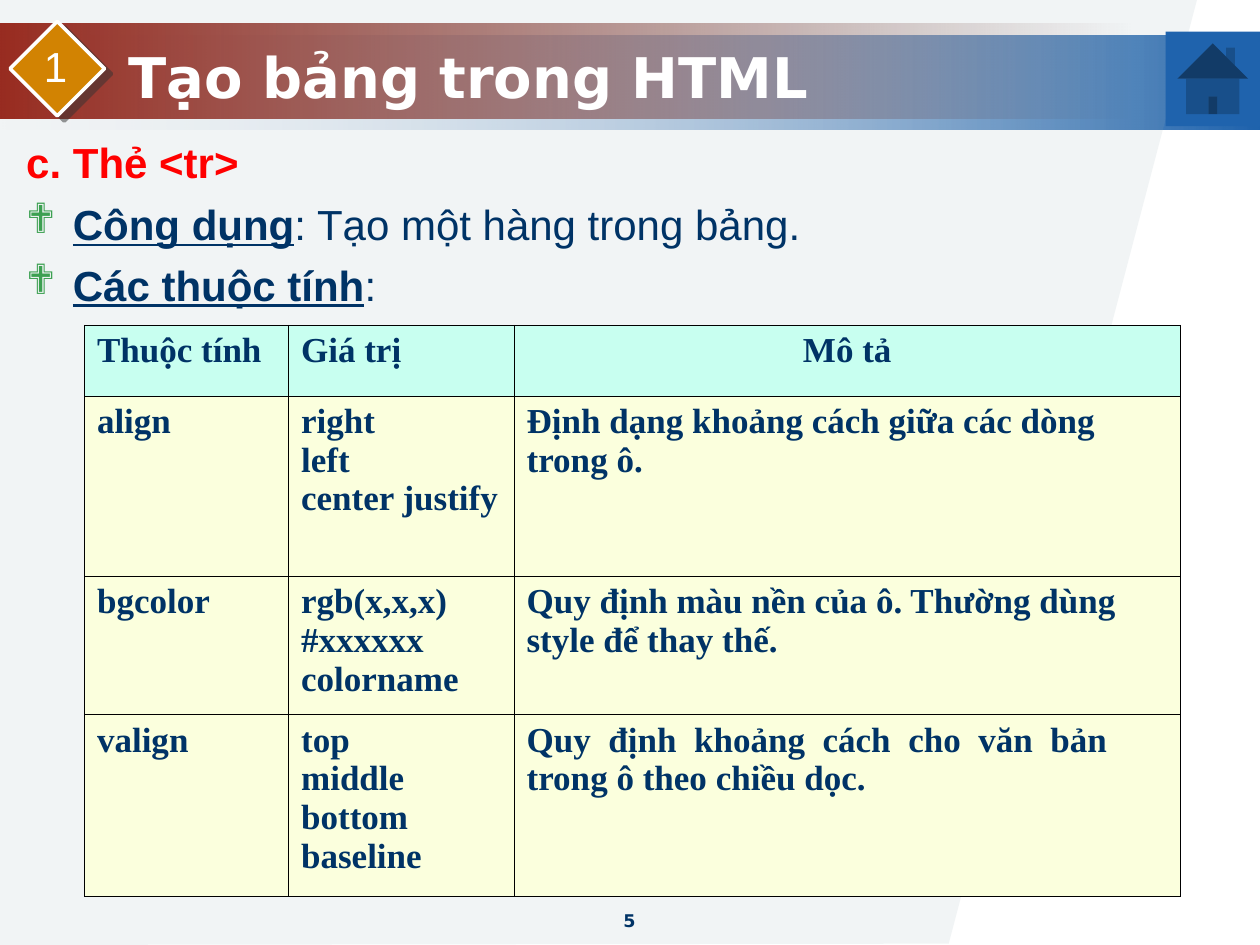
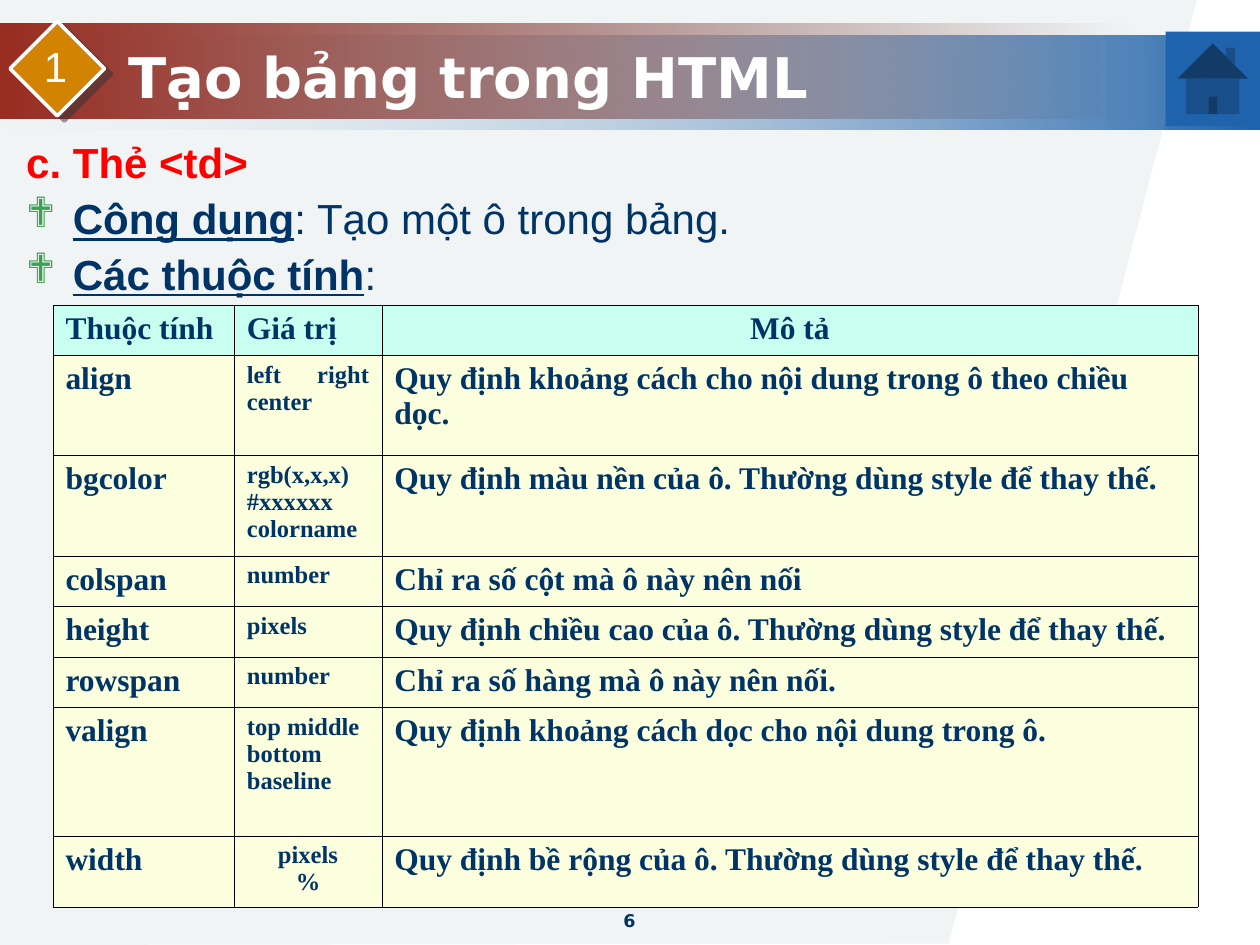
"""Build two lesson slides on the HTML tr and td tags with attribute tables."""
from dataclasses import dataclass

from lxml import etree
from pptx import Presentation
from pptx.dml.color import RGBColor as RGB
from pptx.enum.shapes import MSO_SHAPE as SHAPE
from pptx.enum.text import MSO_ANCHOR as ANCHOR, PP_ALIGN as ALIGN
from pptx.oxml.ns import qn
from pptx.util import Inches, Pt


@dataclass(frozen=True)
class Theme:
    navy: str = "003366"
    white: str = "FFFFFF"
    red: str = "FF0000"
    bullet: str = "3CA051"
    blue: str = "1F63AD"
    pale_blue: str = "E3EBF5"
    brick: str = "99190B"
    dark_brick: str = "470C05"
    backdrop: str = "97ADB5"
    badge: str = "D28302"
    shadow: str = "333333"
    border: str = "000000"
    header_row: str = "C8FFF0"
    body_row: str = "FBFFDD"
    heading_font: str = "DejaVu Sans"
    body_font: str = "Arial"
    table_font: str = "Times New Roman"
    title_size: int = 32
    body_size: int = 24
    page_size: int = 10
    border_width: float = 0.06


T = Theme()


def add_xml(parent, tag, **attrs):
    return etree.SubElement(parent, qn(tag), {k: str(v) for k, v in attrs.items()})


def add_run(p, text, size, font, color, **style):
    r = p.add_run()
    r.text = text
    r.font.color.rgb = RGB.from_string(color)
    for name, value in dict(size=Pt(size), name=font, **style).items():
        setattr(r.font, name, value)


HEADER = ("Thuộc tính", "Giá trị", "Mô tả")
STYLE_NOTE = "Thường dùng style để thay thế."
COLOR_VALUES = "rgb(x,x,x)\n#xxxxxx colorname"

LESSONS = [
    dict(
        page="5", tag="<tr>", purpose="Tạo một hàng trong bảng.", gap=6,
        at=(0.67, 2.58), cols=(1.62, 1.79, 5.29), heights=(0.56, 1.43, 1.1, 1.44),
        sizes=(20, 20, 20),
        rows=[
            HEADER,
            ("align", "right\nleft\ncenter justify",
             "Định dạng khoảng cách giữa các dòng trong ô."),
            ("bgcolor", COLOR_VALUES, f"Quy định màu nền của ô. {STYLE_NOTE}"),
            ("valign", "top\nmiddle\nbottom\nbaseline",
             "Quy định khoảng cách cho văn bản trong ô theo chiều dọc."),
        ],
        aligns={(0, 2): ALIGN.CENTER, (1, 1): ALIGN.JUSTIFY, (3, 2): ALIGN.JUSTIFY},
        right_margins={(3, 2): 0.58},
    ),
    dict(
        page="6", tag="<td>", purpose="Tạo một ô trong bảng.", gap=3,
        at=(0.42, 2.42), cols=(1.44, 1.17, 6.48),
        heights=(0.4, 0.79, 0.8, 0.4, 0.4, 0.4, 1.02, 0.57),
        sizes=(18, 14, 18),
        rows=[
            HEADER,
            ("align", "left right center",
             "Quy định khoảng cách cho nội dung trong ô theo chiều dọc."),
            ("bgcolor", COLOR_VALUES, f"Quy định màu nền của ô. {STYLE_NOTE}"),
            ("colspan", "number", "Chỉ ra số cột mà ô này nên nối"),
            ("height", "pixels", f"Quy định chiều cao của ô. {STYLE_NOTE}"),
            ("rowspan", "number", "Chỉ ra số hàng mà ô này nên nối."),
            ("valign", "top middle bottom baseline",
             "Quy định khoảng cách dọc cho nội dung trong ô."),
            ("width", "pixels\n%", f"Quy định bề rộng của ô. {STYLE_NOTE}"),
        ],
        aligns={(0, 2): ALIGN.CENTER, (1, 1): ALIGN.JUSTIFY, (7, 1): ALIGN.CENTER},
        right_margins={},
    ),
]

BANDS = [
    (0.28, 10, (T.pale_blue, T.blue), 0),
    (0.19, 9, (T.brick, T.dark_brick), 1),
]
BACKDROP = [(9.5, 0), (7.53, 7.49), (0, 7.5)]

prs = Presentation()
prs.slide_width, prs.slide_height = Inches(10), Inches(7.5)

for lesson in LESSONS:
    slide = prs.slides.add_slide(prs.slide_layouts[6])
    shapes = slide.shapes

    for top, width, colors, clear_stop in BANDS:
        s = shapes.add_shape(SHAPE.RECTANGLE, 0, Inches(top), Inches(width), Inches(0.75))
        s.shadow.inherit = False
        s.line.fill.background()
        s.fill.gradient()
        s.fill.gradient_angle = 0
        for stop, color, position in zip(s.fill.gradient_stops, colors, (0, 1)):
            stop.color.rgb = RGB.from_string(color)
            stop.position = position
        stop_colors = s._element.spPr.findall(".//" + qn("a:srgbClr"))
        add_xml(stop_colors[clear_stop], "a:alpha", val=0)

    outline = shapes.build_freeform(0, 0, scale=1.0)
    outline.add_line_segments([(Inches(x), Inches(y)) for x, y in BACKDROP], close=True)
    s = outline.convert_to_shape()
    s.shadow.inherit = False
    s.line.fill.background()
    s.fill.solid()
    s.fill.fore_color.rgb = RGB.from_string(T.backdrop)
    add_xml(s._element.spPr.find(".//" + qn("a:srgbClr")), "a:alpha", val=13000)

    s = shapes.add_shape(SHAPE.DIAMOND, *map(Inches, (0.08, 0.17, 0.75, 0.75)))
    s.fill.solid()
    s.fill.fore_color.rgb = RGB.from_string(T.badge)
    s.line.color.rgb = RGB.from_string(T.white)
    s.line.width = Pt(2)
    s.shadow.inherit = False
    drop = add_xml(s._element.spPr.find(qn("a:effectLst")), "a:outerShdw",
                   blurRad=0, dist=Pt(5), dir=37 * 60000, algn="ctr", rotWithShape=0)
    add_xml(add_xml(drop, "a:srgbClr", val=T.shadow), "a:alpha", val=50000)

    labels = [
        ((3.83, 7.17, 2.33, 0.28), lesson["page"], T.page_size, T.heading_font, T.navy,
         True, dict(word_wrap=True), ALIGN.CENTER),
        ((0.92, 0.29, 9.08, 0.62), "Tạo bảng trong HTML", T.title_size, T.heading_font,
         T.white, True, dict(word_wrap=True, vertical_anchor=ANCHOR.MIDDLE), ALIGN.LEFT),
        ((0.25, 0.27, 0.38, 0.5), "1", T.body_size, T.body_font, T.white,
         False, dict(word_wrap=False), ALIGN.CENTER),
    ]
    for box, text, size, font, color, bold, frame, align in labels:
        tf = shapes.add_textbox(*map(Inches, box)).text_frame
        for name, value in frame.items():
            setattr(tf, name, value)
        p = tf.paragraphs[0]
        p.alignment = align
        add_run(p, text, size, font, color, bold=bold)

    tf = shapes.add_textbox(*map(Inches, (0.11, 1.08, 9.89, 6.17))).text_frame
    tf.word_wrap = True
    p = tf.paragraphs[0]
    p.line_spacing = 0.9
    add_run(p, f"c. Thẻ {lesson['tag']}", T.body_size, T.body_font, T.red, bold=True)
    for term, rest in [("Công dụng", f": {lesson['purpose']}"), ("Các thuộc tính", ":")]:
        p = tf.add_paragraph()
        p.space_before = Pt(lesson["gap"])
        pPr = p._p.get_or_add_pPr()
        pPr.set("marL", str(Inches(0.37)))
        pPr.set("indent", str(Inches(-0.37)))
        add_xml(add_xml(pPr, "a:buClr"), "a:srgbClr", val=T.bullet)
        add_xml(pPr, "a:buFont", typeface="Wingdings")
        add_xml(pPr, "a:buChar", char="❖")
        add_run(p, term, T.body_size, T.body_font, T.navy, bold=True, underline=True)
        add_run(p, rest, T.body_size, T.body_font, T.navy, bold=False)

    s = shapes.add_shape(SHAPE.ACTION_BUTTON_HOME, *map(Inches, (9.25, 0.25, 0.75, 0.75)))
    s.shadow.inherit = False
    s.fill.solid()
    s.fill.fore_color.rgb = RGB.from_string(T.blue)
    s.line.fill.background()

    rows, cols, heights = lesson["rows"], lesson["cols"], lesson["heights"]
    box = (*lesson["at"], sum(cols), sum(heights))
    table = shapes.add_table(len(rows), len(cols), *map(Inches, box)).table
    for column, width in zip(table.columns, cols):
        column.width = Inches(width)
    for i, (row, height) in enumerate(zip(rows, heights)):
        table.rows[i].height = Inches(height)
        for j, text in enumerate(row):
            cell = table.cell(i, j)
            cell.margin_right = Inches(lesson["right_margins"].get((i, j), 0.1))
            tcPr = cell._tc.get_or_add_tcPr()
            for side in ("a:lnL", "a:lnR", "a:lnT", "a:lnB"):
                ln = add_xml(tcPr, side, w=Pt(T.border_width))
                add_xml(add_xml(ln, "a:solidFill"), "a:srgbClr", val=T.border)
            cell.fill.solid()
            cell.fill.fore_color.rgb = RGB.from_string(T.body_row if i else T.header_row)
            size = lesson["sizes"][j] if i else lesson["sizes"][0]
            tf = cell.text_frame
            for k, line in enumerate(text.split("\n")):
                p = tf.add_paragraph() if k else tf.paragraphs[0]
                p.alignment = lesson["aligns"].get((i, j), ALIGN.LEFT)
                add_run(p, line, size, T.table_font, T.navy, bold=True)

prs.save("out.pptx")
